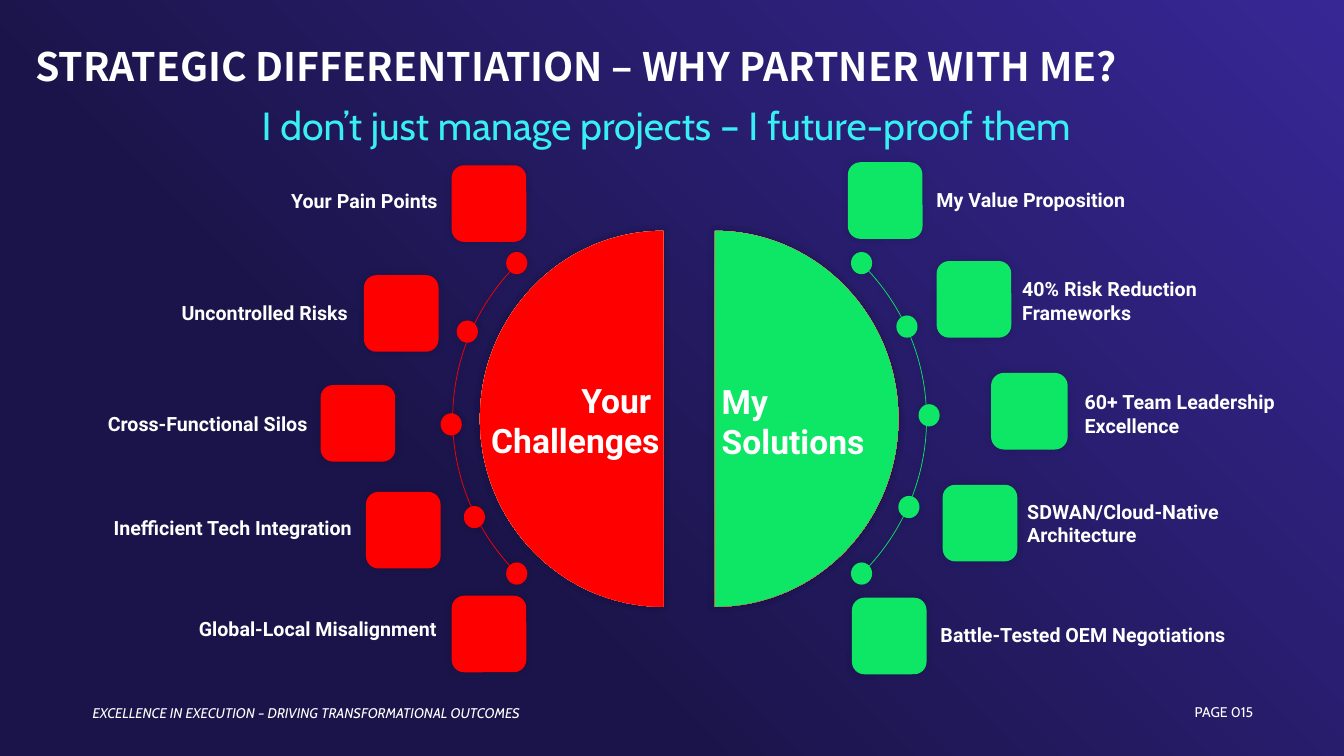
from math import asin, cos, pi, sin, tan

from lxml import etree
from pptx import Presentation
from pptx import util as u
from pptx.dml.color import RGBColor
from pptx.enum import shapes, text
from pptx.oxml import ns

WHITE = RGBColor(0xFF, 0xFF, 0xFF)
RED = RGBColor(0xFF, 0x00, 0x00)
GREEN = RGBColor(0x0D, 0xE7, 0x65)
CYAN = RGBColor(0x38, 0xF0, 0xF4)
NIGHT = RGBColor(0x1B, 0x14, 0x4A)
INDIGO = RGBColor(0x36, 0x27, 0x95)
PEACH = RGBColor(0xFF, 0xA0, 0x66)
CORAL = RGBColor(0xFF, 0x44, 0x49)

LEFT, CENTER, RIGHT = text.PP_ALIGN.LEFT, text.PP_ALIGN.CENTER, text.PP_ALIGN.RIGHT
TOP, MIDDLE, BOTTOM = text.MSO_ANCHOR.TOP, text.MSO_ANCHOR.MIDDLE, text.MSO_ANCHOR.BOTTOM
CENTER_Y = 4.155
DISC_RADIUS_X, DISC_RADIUS_Y = 1.82, 1.865
ARC_RADIUS, ARC_HALF_HEIGHT = 2.16, 1.515

CHALLENGE_LABELS = [
    ("Your Pain Points", 1.77, 1.83, 2.67, 0.34),
    ("Uncontrolled Risks", 0.65, 2.94, 2.9, 0.34),
    ("Cross-Functional Silos", 0.8, 4.04, 2.35, 0.34),
    ("Inefficient Tech Integration", 0.22, 5.07, 3.37, 0.34),
    ("Global-Local Misalignment", 1.06, 6.07, 3.37, 0.34),
]
SOLUTION_LABELS = [
    ("My Value Proposition", 9.19, 1.82, 3.66, 0.34),
    ("40% Risk Reduction Frameworks", 10.04, 2.7, 2.91, 0.57),
    ("60+ Team Leadership Excellence", 10.66, 3.82, 2.29, 0.57),
    ("SDWAN/Cloud-Native Architecture", 10.09, 4.91, 3.06, 0.57),
    ("Battle-Tested OEM Negotiations", 9.23, 6.13, 3.37, 0.34),
]
CHALLENGE_TILES = [(4.48, 1.64), (3.61, 2.73), (3.18, 3.82), (3.63, 4.88), (4.48, 5.91)]
SOLUTION_TILES = [(8.41, 1.61), (9.29, 2.59), (9.83, 3.7, 0.76), (9.35, 4.81), (8.45, 5.93)]
CHALLENGE_DOTS = [(5.02, 2.5), (4.53, 3.18), (4.37, 4.1), (4.6, 5.02), (5.02, 5.58)]
SOLUTION_DOTS = [(8.44, 2.5), (8.89, 3.13), (9.11, 4.01), (8.91, 4.92), (8.44, 5.58)]


class SlideBuilder:
    def __init__(self, presentation):
        self.slide = presentation.slides.add_slide(presentation.slide_layouts[6])

    def gradient(self, fill, colors, positions, angle):
        fill.gradient()
        fill.gradient_angle = angle
        for stop, color, position in zip(fill.gradient_stops, colors, positions):
            stop.color.rgb = color
            stop.position = position

    def soft_shadow(self, shape):
        shape.shadow.inherit = False
        effects = shape._element.spPr.find(ns.qn("a:effectLst"))
        shadow = etree.SubElement(effects, ns.qn("a:outerShdw"), blurRad=str(u.Pt(5)), dist="0")
        color = etree.SubElement(shadow, ns.qn("a:srgbClr"), val="000000")
        etree.SubElement(color, ns.qn("a:alpha"), val="14000")

    def solid(self, shape, color):
        shape.fill.solid()
        shape.fill.fore_color.rgb = color
        shape.line.fill.background()
        self.soft_shadow(shape)

    def preset(self, kind, x, y, width, height, color):
        shape = self.slide.shapes.add_shape(
            kind, u.Inches(x), u.Inches(y), u.Inches(width), u.Inches(height))
        self.solid(shape, color)

    def tile(self, color, x, y, width=0.74):
        self.preset(shapes.MSO_SHAPE.ROUNDED_RECTANGLE, x, y, width, 0.76, color)

    def dot(self, color, x, y):
        self.preset(shapes.MSO_SHAPE.OVAL, x, y, 0.21, 0.22, color)

    def curve(self, x, radius_x, radius_y, sweep, close):
        pull = 4 / 3 * tan(sweep / 4)

        def point(angle, tangent=0):
            return (u.Inches(x + radius_x * (cos(angle) - tangent * sin(angle))),
                    u.Inches(CENTER_Y + radius_y * (sin(angle) + tangent * cos(angle))))

        builder = self.slide.shapes.build_freeform(*point(sweep))
        builder.add_line_segments(
            [point(sweep, -pull), point(0, pull), point(0),
             point(0, -pull), point(-sweep, pull), point(-sweep)], close=close)
        shape = builder.convert_to_shape()
        outline = next(shape._element.iter(ns.qn("a:path")))
        segments = outline.findall(ns.qn("a:lnTo"))
        for group in (segments[:3], segments[3:]):
            bezier = outline.makeelement(ns.qn("a:cubicBezTo"))
            group[0].addprevious(bezier)
            for segment in group:
                bezier.append(segment[0])
                outline.remove(segment)
        return shape

    def half_disc(self, x, side, color, angle):
        outline = (x, side * DISC_RADIUS_X, DISC_RADIUS_Y, pi / 2, True)
        rim = self.curve(*outline)
        self.solid(rim, PEACH)
        self.gradient(rim.fill, (PEACH, CORAL), (0, 1), angle)
        self.solid(self.curve(*outline), color)

    def arc(self, x, side, color):
        arc = self.curve(x, side * ARC_RADIUS, ARC_RADIUS,
                         asin(ARC_HALF_HEIGHT / ARC_RADIUS), False)
        arc.fill.background()
        arc.line.color.rgb = color
        arc.line.width = u.Pt(0.5)
        self.soft_shadow(arc)

    def text(self, lines, x, y, width, height, size, font, color=WHITE, align=LEFT,
             anchor=TOP, bold=False, italic=False, wrap=True, after=0, spacing=None, grow=False):
        box = self.slide.shapes.add_textbox(
            u.Inches(x), u.Inches(y), u.Inches(width), u.Inches(height))
        frame = box.text_frame
        frame.text = lines
        frame.word_wrap = wrap
        frame.vertical_anchor = anchor
        if grow:
            frame.auto_size = text.MSO_AUTO_SIZE.SHAPE_TO_FIT_TEXT
        for paragraph in frame.paragraphs:
            paragraph.alignment = align
            paragraph.space_after = u.Pt(after)
            paragraph.line_spacing = spacing
            paragraph.font.name = font
            paragraph.font.size = u.Pt(size)
            paragraph.font.bold = bold
            paragraph.font.italic = italic
            paragraph.font.color.rgb = color
        return frame

    def half(self, side, color, disc_x, disc_angle, arc_x, tiles, dots, labels):
        self.half_disc(disc_x, side, color, disc_angle)
        self.arc(arc_x, side, color)
        for tile in tiles:
            self.tile(color, *tile)
        for dot in dots:
            self.dot(color, *dot)
        for label in labels:
            self.text(*label, 14, "Roboto", bold=True, after=6, grow=True,
                      align=RIGHT if side < 0 else LEFT)


def main():
    presentation = Presentation()
    presentation.slide_width = u.Inches(13.33)
    presentation.slide_height = u.Inches(7.5)
    builder = SlideBuilder(presentation)
    builder.gradient(builder.slide.background.fill, (NIGHT, INDIGO), (0.33, 1), 45)

    page = builder.text("PAGE 015", 9.59, 6.89, 2.84, 0.4, 10, "Cabin",
                        align=RIGHT, anchor=MIDDLE)
    page.margin_left = page.margin_right = page.margin_top = 0
    builder.text("STRATEGIC DIFFERENTIATION – WHY PARTNER WITH ME?", 0.25, 0.38, 12.99, 0.55,
                 28, "Noto Sans CJK KR", anchor=BOTTOM, bold=True, spacing=0.75)
    builder.text("I don’t just manage projects – I future-proof them", 1.43, 0.96, 10.35, 0.57,
                 28, "Cabin", CYAN, CENTER, grow=True)
    builder.text("EXCELLENCE IN EXECUTION – DRIVING TRANSFORMATIONAL OUTCOMES",
                 0.82, 6.87, 4.79, 0.4, 10, "Cabin", anchor=MIDDLE, italic=True)

    builder.half(-1, RED, 6.58, 300, 6.65, CHALLENGE_TILES, CHALLENGE_DOTS, CHALLENGE_LABELS)
    builder.half(1, GREEN, 7.09, 240, 7.03, SOLUTION_TILES, SOLUTION_DOTS, SOLUTION_LABELS)
    builder.text("Your \nChallenges", 4.73, 3.71, 1.91, 0.91, 24, "Roboto",
                 align=RIGHT, anchor=MIDDLE, bold=True, wrap=False, grow=True)
    builder.text("My\nSolutions", 7.06, 3.72, 1.68, 0.91, 24, "Roboto",
                 anchor=MIDDLE, bold=True, wrap=False, grow=True)
    presentation.save("out.pptx")


if __name__ == "__main__":
    main()
